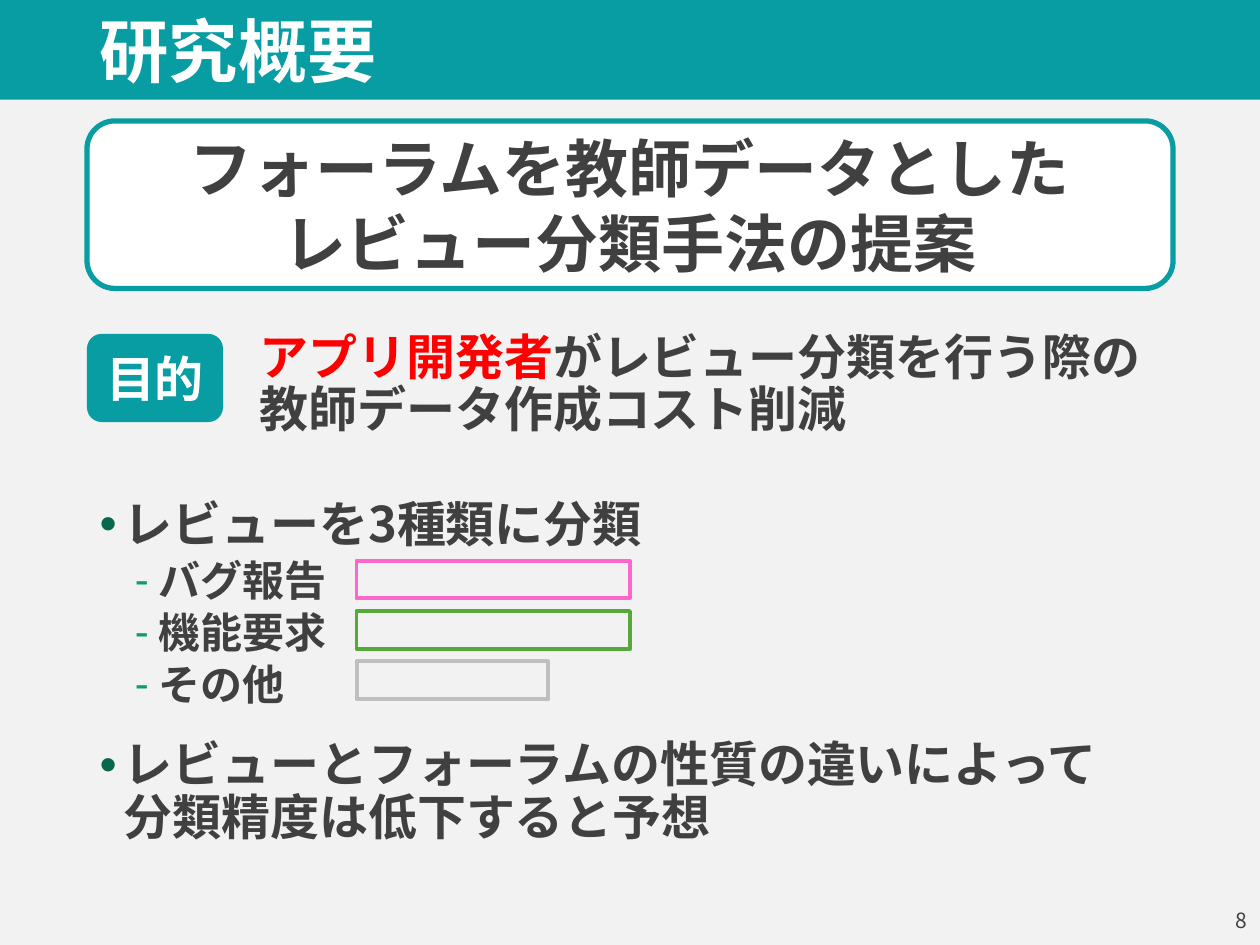
from dataclasses import dataclass

from lxml import etree
from pptx import Presentation
from pptx import util as u
from pptx.dml.color import RGBColor
from pptx.enum import shapes, text
from pptx.oxml import ns

TEAL = RGBColor(0x08, 0x9C, 0xA3)
WHITE = RGBColor(0xFF, 0xFF, 0xFF)
PAPER = RGBColor(0xF2, 0xF2, 0xF2)
INK = RGBColor(0x40, 0x40, 0x40)
RED = RGBColor(0xFF, 0x00, 0x00)
PINK = RGBColor(0xFF, 0x66, 0xCC)
GREEN = RGBColor(0x55, 0xA8, 0x39)
GREY = RGBColor(0xBF, 0xBF, 0xBF)
DOT_GREEN = RGBColor(0x08, 0x68, 0x4E)
DASH_GREEN = RGBColor(0x0C, 0x9B, 0x74)

JAPANESE = "Noto Sans CJK JP"
RECT = shapes.MSO_SHAPE.RECTANGLE
ROUNDED = shapes.MSO_SHAPE.ROUNDED_RECTANGLE


@dataclass
class ListItem:
    words: str
    before: float
    level: int = 0


@dataclass
class Frame:
    width: float
    color: RGBColor


ITEMS = [
    ListItem("レビューを3種類に分類", 0),
    ListItem("バグ報告", 3.8, 1),
    ListItem("機能要求", 3.8, 1),
    ListItem("その他", 3.8, 1),
    ListItem("レビューとフォーラムの性質の違いによって\n分類精度は低下すると予想", 18),
]
FRAMES = [Frame(2.17, PINK), Frame(2.17, GREEN), Frame(1.52, GREY)]


def write(para, words: str, *, size: float, color: RGBColor = INK,
          bold: bool = True, font: str = JAPANESE, align=None) -> None:
    """Add formatted text to a paragraph; a newline becomes a line break."""
    para.alignment = align
    for index, line in enumerate(words.split("\n")):
        if index:
            para.add_line_break()
        span = para.add_run()
        span.text = line
        span.font.name = font
        span.font.size = u.Pt(size)
        span.font.bold = bold
        span.font.color.rgb = color
        east_asian = etree.SubElement(span.font._element, ns.qn("a:ea"))
        east_asian.set("typeface", JAPANESE)


def space(para, before: float) -> None:
    para.line_spacing = 0.9
    para.space_before = u.Pt(before)
    para.space_after = u.Pt(0)


def set_bullet(para, mark: str = "", color: RGBColor = INK,
               left: float = 0, hanging: float = 0) -> None:
    """Set the indents and the bullet; an empty mark means no bullet."""
    props = para._p.get_or_add_pPr()
    props.set("marL", str(u.Inches(left)))
    props.set("indent", str(-u.Inches(hanging)))
    if not mark:
        etree.SubElement(props, ns.qn("a:buNone"))
        return
    bullet_color = etree.SubElement(props, ns.qn("a:buClr"))
    etree.SubElement(bullet_color, ns.qn("a:srgbClr")).set("val", str(color))
    etree.SubElement(props, ns.qn("a:buFont")).set("typeface", "Arial")
    etree.SubElement(props, ns.qn("a:buChar")).set("char", mark)


def place(box, left: float, top: float, width: float, height: float, anchor):
    """Move a text holder and return its text frame."""
    box.left, box.top = u.Inches(left), u.Inches(top)
    box.width, box.height = u.Inches(width), u.Inches(height)
    frame = box.text_frame
    frame.word_wrap = True
    frame.auto_size = text.MSO_AUTO_SIZE.NONE
    frame.vertical_anchor = anchor
    return frame


def add_box(page, kind, left: float, top: float, width: float, height: float,
            fill: RGBColor | None = None, line: RGBColor | None = None,
            weight: float = 0):
    box = page.shapes.add_shape(kind, u.Inches(left), u.Inches(top),
                                u.Inches(width), u.Inches(height))
    box.shadow.inherit = False
    if fill is None:
        box.fill.background()
    else:
        box.fill.solid()
        box.fill.fore_color.rgb = fill
    if line is None:
        box.line.fill.background()
    else:
        box.line.color.rgb = line
        box.line.width = u.Pt(weight)
    return box


def main() -> None:
    deck = Presentation()
    deck.slide_width, deck.slide_height = u.Inches(10), u.Inches(7.5)
    page = deck.slides.add_slide(deck.slide_layouts.get_by_name("Two Content"))
    page.background.fill.solid()
    page.background.fill.fore_color.rgb = PAPER
    middle, top = text.MSO_ANCHOR.MIDDLE, text.MSO_ANCHOR.TOP
    center, right = text.PP_ALIGN.CENTER, text.PP_ALIGN.RIGHT
    title, purpose, points = page.placeholders

    # Title on its band, which lies behind everything else
    band = add_box(page, RECT, 0, 0, 10, 0.79, TEAL)
    page.shapes._spTree.insert(2, band._element)
    para = place(title, 0.69, 0.09, 8.62, 0.7, middle).paragraphs[0]
    space(para, 0)
    write(para, "研究概要", size=39.6, color=WHITE, font="Arial",
          align=text.PP_ALIGN.LEFT)

    # Proposal
    proposal = add_box(page, ROUNDED, 0.69, 0.96, 8.62, 1.33, WHITE, TEAL, 3)
    write(proposal.text_frame.paragraphs[0],
          "フォーラムを教師データとした\nレビュー分類手法の提案",
          size=36, align=center)

    # Purpose
    badge = add_box(page, ROUNDED, 0.69, 2.65, 1.08, 0.7, TEAL)
    write(badge.text_frame.paragraphs[0], "目的", size=28, color=WHITE,
          align=center)
    para = place(purpose, 1.96, 2.59, 7.35, 0.99, top).paragraphs[0]
    space(para, 0)
    set_bullet(para)
    write(para, "アプリ開発者", size=28, color=RED)
    write(para, "がレビュー分類を行う際の\n教師データ作成コスト削減", size=28)

    # Points
    frame = place(points, 0.69, 3.92, 8.98, 3.35, top)
    for index, item in enumerate(ITEMS):
        para = frame.add_paragraph() if index else frame.paragraphs[0]
        para.level = item.level
        space(para, item.before)
        if item.level:
            set_bullet(para, "-", DASH_GREEN, 0.47, 0.19)
        else:
            set_bullet(para, "•", DOT_GREEN, 0.19, 0.19)
        write(para, item.words, size=24 if item.level else 28)

    # Colour frames beside the three classes
    for row, item in enumerate(FRAMES):
        add_box(page, RECT, 2.83, 4.45 + 0.4 * row, item.width, 0.3,
                line=item.color, weight=2.25)

    # Page number
    number = page.shapes.add_textbox(0, 0, 0, 0)
    para = place(number, 7.75, 7.1, 2.25, 0.4, middle).paragraphs[0]
    write(para, "8", size=12, bold=False, align=right)

    deck.save("out.pptx")


if __name__ == "__main__":
    main()
